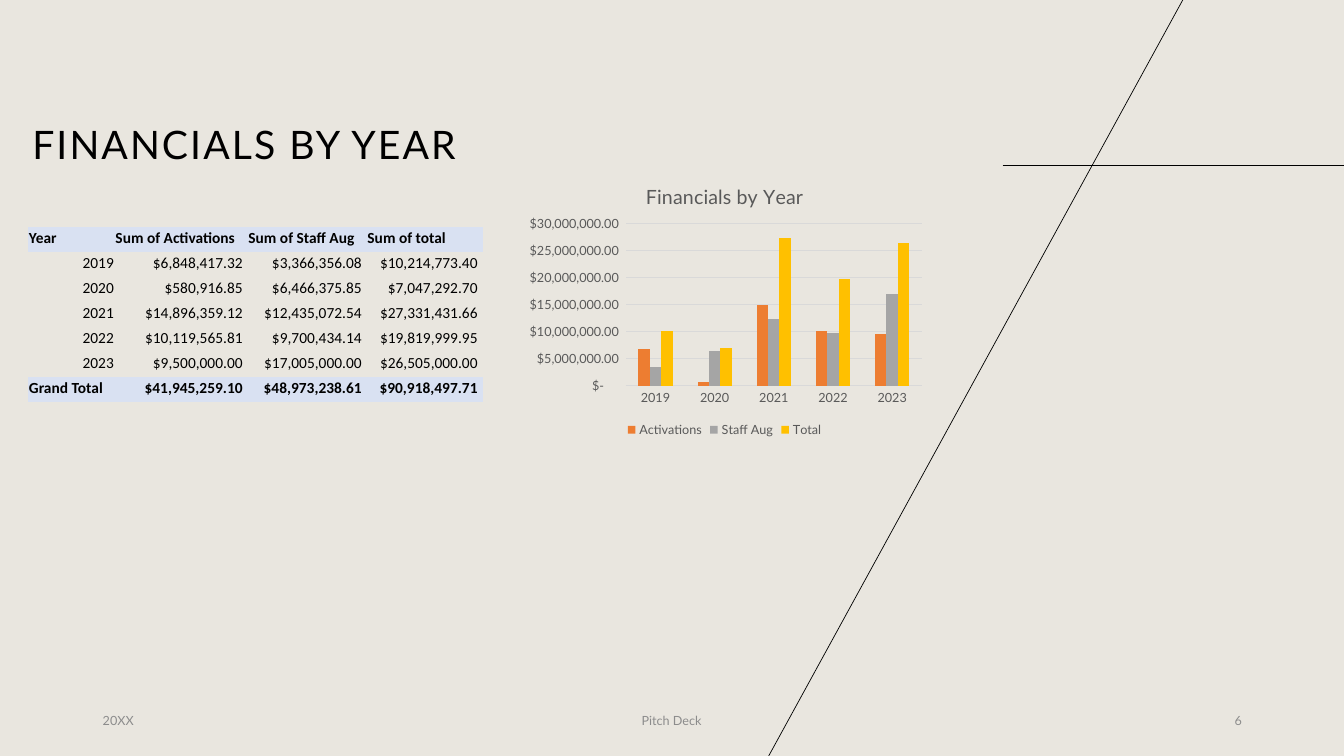
from lxml.etree import SubElement
from pptx import Presentation
from pptx.chart.data import CategoryChartData
from pptx.dml.color import RGBColor
from pptx.enum.chart import XL_CHART_TYPE, XL_LEGEND_POSITION, XL_TICK_MARK
from pptx.enum.text import MSO_ANCHOR, PP_ALIGN
from pptx.oxml import parse_xml
from pptx.oxml.ns import nsdecls, qn
from pptx.util import Cm, Pt

SAND = RGBColor(0xE9, 0xE6, 0xDF)
BLACK = RGBColor(0, 0, 0)
GRAY = RGBColor(0x8C, 0x8C, 0x8C)
DARK = RGBColor(0x59, 0x59, 0x59)
PALE = RGBColor(0xD9, 0xD9, 0xD9)
BLUE = RGBColor(0xD9, 0xE1, 0xF2)
ORANGE = RGBColor(0xED, 0x7D, 0x31)
SILVER = RGBColor(0xA5, 0xA5, 0xA5)
GOLD = RGBColor(0xFF, 0xC0, 0x00)
LEFT, MID, RIGHT = PP_ALIGN.LEFT, PP_ALIGN.CENTER, PP_ALIGN.RIGHT

TITLE = "FINANCIALS BY YEAR"
CAPTION = "Financials by Year"
HEADS = ["Year", "Sum of Activations", "Sum of Staff Aug", "Sum of total"]
SALES = {  # year: activations, staff aug
    "2019": (6848417.32, 3366356.08),
    "2020": (580916.85, 6466375.85),
    "2021": (14896359.12, 12435072.54),
    "2022": (10119565.81, 9700434.14),
    "2023": (9500000.00, 17005000.00),
}
SERIES = [("Activations", ORANGE), ("Staff Aug", SILVER), ("Total", GOLD)]
FOOTER = [  # text, left, width, alignment
    ("20XX", 2.34, 7.62, LEFT),
    ("Pitch Deck", 14.5, 4.85, MID),
    ("6", 23.93, 7.62, RIGHT),
]
LINES = [(25.27, 4.17, 33.86, 4.17), (29.85, -0.08, 19.3, 19.18)]
COLS = [2.18, 3.35, 3.0, 2.92]
ROW = 0.63
MONEY = r'_("$"* #,##0.00_);_("$"* \(#,##0.00\);_("$"* "-"??_);_(@_)'
NO_STYLE = "{2D5ABB26-0587-4C30-8999-92F81FD0307C}"


def style(font, size, color, name="Lato", bold=False):
    font.size, font.name, font.bold = Pt(size), name, bold
    font.color.rgb = color


def write(frame, text, size=9, color=GRAY, name="Lato", bold=False,
          align=LEFT, anchor=MSO_ANCHOR.MIDDLE):
    frame.word_wrap = True
    frame.vertical_anchor = anchor
    par = frame.paragraphs[0]
    par.alignment = align
    run = par.add_run()
    run.text = text
    style(run.font, size, color, name, bold)
    return run


def place(chart_part, x, y, w=None, h=None):
    """Give a chart title or plot area a fixed place, as shares of the chart."""
    for old in chart_part.findall(qn("c:layout")):
        chart_part.remove(old)
    layout = parse_xml(f"<c:layout {nsdecls('c')}/>")
    box = SubElement(layout, qn("c:manualLayout"))
    items = [("xMode", "edge"), ("yMode", "edge"), ("x", x), ("y", y)]
    if w:
        items = [("layoutTarget", "inner"), *items, ("w", w), ("h", h)]
    for tag, val in items:
        SubElement(box, qn(f"c:{tag}")).set("val", str(val))
    tx = chart_part.find(qn("c:tx"))
    chart_part.insert(0 if tx is None else 1, layout)


def add_lines(slide):
    for x1, y1, x2, y2 in LINES:
        line = slide.shapes.add_connector(1, Cm(x1), Cm(y1), Cm(x2), Cm(y2))
        line.line.color.rgb = BLACK
        line.line.width = Pt(0.5)
        SubElement(line._element.spPr, qn("a:effectLst"))


def add_title(slide):
    title = slide.shapes.title
    title.left, title.top = Cm(0.56), Cm(1.02)
    title.width, title.height = Cm(14.2), Cm(3.35)
    run = write(title.text_frame, TITLE, size=28, color=BLACK,
                anchor=MSO_ANCHOR.BOTTOM)
    title.text_frame.paragraphs[0].line_spacing = 0.9
    run.font._element.set("spc", "150")


def add_footer(slide):
    for text, left, width, align in FOOTER:
        box = slide.shapes.add_textbox(Cm(left), Cm(17.65), Cm(width), Cm(1.02))
        write(box.text_frame, text, align=align)


def add_figures(slide, sums):
    grand = [sum(col) for col in zip(*sums.values())]
    body = [*sums.items(), ("Grand Total", grand)]
    rows = [HEADS] + [[key, *(f"${v:,.2f}" for v in vals)] for key, vals in body]
    table = slide.shapes.add_table(len(rows), len(COLS), Cm(0.71), Cm(5.72),
                                   Cm(sum(COLS)), Cm(ROW * len(rows))).table
    table.first_row = table.horz_banding = False
    table._tbl.tblPr.find(qn("a:tableStyleId")).text = NO_STYLE
    for col, width in zip(table.columns, COLS):
        col.width = Cm(width)
    for r, row in enumerate(rows):
        table.rows[r].height = Cm(ROW)
        edge = r in (0, len(rows) - 1)
        for c, text in enumerate(row):
            cell = table.cell(r, c)
            cell.margin_left = cell.margin_top = Cm(0.02)
            cell.margin_right = Cm(0.12 if c else 0.02)
            cell.margin_bottom = Cm(0.12)
            cell.vertical_anchor = MSO_ANCHOR.BOTTOM
            if edge:
                cell.fill.solid()
                cell.fill.fore_color.rgb = BLUE
            else:
                cell.fill.background()
            left = r == 0 or (edge and c == 0)
            par = cell.text_frame.paragraphs[0]
            par.alignment = LEFT if left else RIGHT
            run = par.add_run()
            run.text = text
            style(run.font, 11, BLACK, "Calibri", edge)


def add_columns(slide, sums):
    data = CategoryChartData(number_format=MONEY)
    data.categories = list(sums)
    for (name, _), vals in zip(SERIES, zip(*sums.values())):
        data.add_series(name, [round(v, -5) for v in vals])
    chart = slide.shapes.add_chart(XL_CHART_TYPE.COLUMN_CLUSTERED, Cm(13.08),
                                   Cm(4.09), Cm(10.36), Cm(7.04), data).chart
    style(chart.font, 9, DARK)
    chart.has_title = True
    run = chart.chart_title.text_frame.paragraphs[0].add_run()
    run.text = CAPTION
    style(run.font, 14, DARK)
    chart.chart_title.include_in_layout = False
    chart.has_legend = True
    chart.legend.position = XL_LEGEND_POSITION.BOTTOM
    chart.legend.include_in_layout = False
    style(chart.legend.font, 9, DARK)

    plot = chart.plots[0]
    plot.gap_width, plot.overlap = 219, 0
    plot.vary_by_categories = False
    for item, (_, color) in zip(plot.series, SERIES):
        item.format.fill.solid()
        item.format.fill.fore_color.rgb = color

    years, money = chart.category_axis, chart.value_axis
    for axis in (years, money):
        axis.major_tick_mark = axis.minor_tick_mark = XL_TICK_MARK.NONE
        style(axis.tick_labels.font, 9, DARK)
    money.minimum_scale, money.maximum_scale = 0, 30000000
    money.major_unit = 5000000
    money.tick_labels.number_format = MONEY
    money.tick_labels.number_format_is_linked = False
    money.format.line.fill.background()
    for line in (years.format.line, money.major_gridlines.format.line):
        line.color.rgb = PALE
        line.width = Pt(0.75)
    place(chart.chart_title._element, 0.3, 0.06)
    place(chart._chartSpace.chart.plotArea, 0.26, 0.22, 0.72, 0.58)


def main():
    deck = Presentation()
    deck.slide_width, deck.slide_height = Cm(33.87), Cm(19.05)
    slide = deck.slides.add_slide(deck.slide_layouts[5])
    slide.background.fill.solid()
    slide.background.fill.fore_color.rgb = SAND
    sums = {year: (*pair, sum(pair)) for year, pair in SALES.items()}
    add_lines(slide)
    add_title(slide)
    add_footer(slide)
    add_figures(slide, sums)
    add_columns(slide, sums)
    deck.save("out.pptx")


if __name__ == "__main__":
    main()
